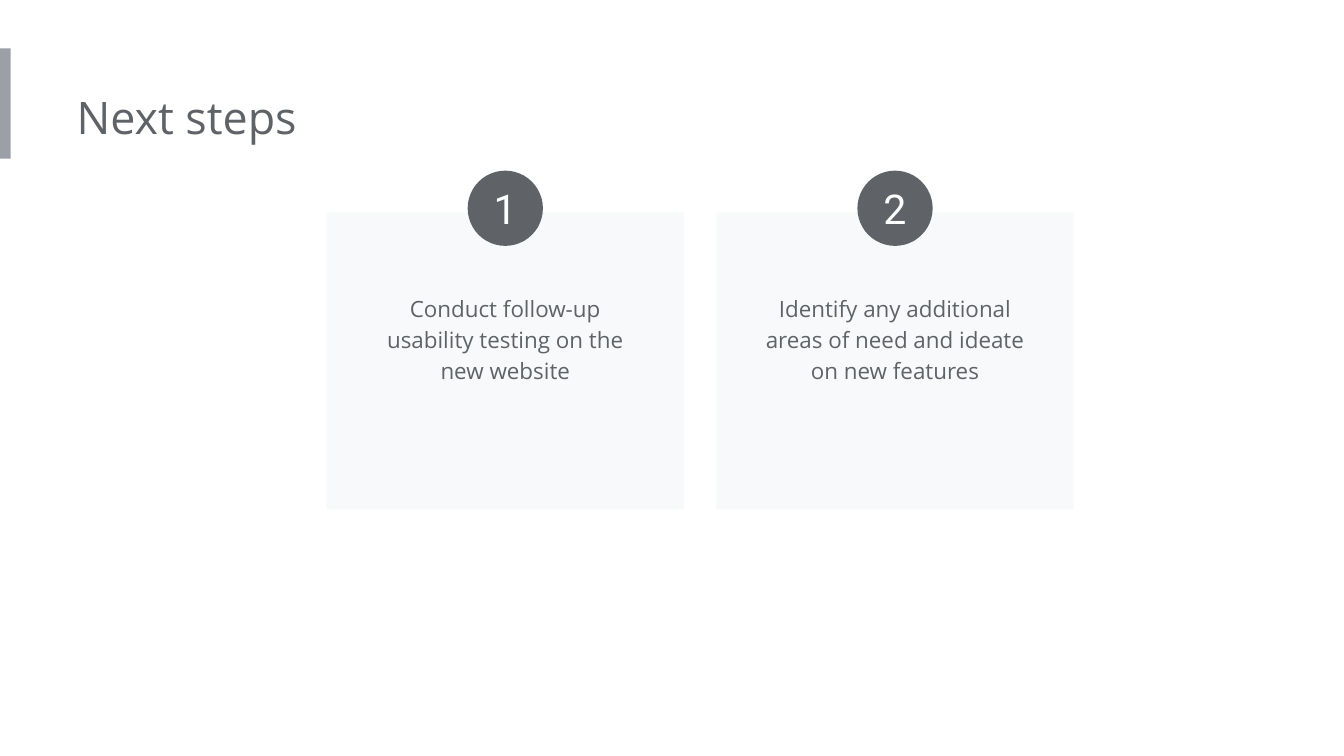
from pptx import Presentation
from pptx.dml.color import RGBColor
from pptx.enum.shapes import MSO_SHAPE
from pptx.enum.text import MSO_ANCHOR, PP_ALIGN
from pptx.util import Inches, Pt

COLORS = {
    "background": "FFFFFF",
    "accent": "9AA0A6",
    "dark": "5F6368",
    "card": "F8F9FA",
    "white": "FFFFFF",
}

STEPS = [
    "Conduct follow-up usability testing on the new website",
    "Identify any additional areas of need and ideate on new features",
]

SLIDE_W = 10
SLIDE_H = SLIDE_W * 9 / 16
CARD_LEFT, CARD_TOP = 2.43, 1.58
CARD_W, CARD_H = 2.66, 2.21
CARD_PITCH = 2.9
TEXT_W = 2.24
BADGE = 0.56


def rgb(name):
    return RGBColor.from_string(COLORS[name])


def add_filled(s, kind, x, y, w, h, color):
    sp = s.shapes.add_shape(kind, Inches(x), Inches(y), Inches(w), Inches(h))
    sp.shadow.inherit = False
    sp.fill.solid()
    sp.fill.fore_color.rgb = rgb(color)
    sp.line.fill.background()
    return sp


def write(sp, text, size, color, font="Open Sans", align=PP_ALIGN.LEFT,
          anchor=MSO_ANCHOR.TOP, spacing=None, left=0.1, inset=0.1):
    tf = sp.text_frame
    tf.word_wrap = True
    tf.vertical_anchor = anchor
    tf.margin_left = Inches(left)
    tf.margin_top = tf.margin_right = tf.margin_bottom = Inches(inset)
    p = tf.paragraphs[0]
    p.alignment = align
    if spacing:
        p.line_spacing = spacing
    r = p.add_run()
    r.text = text
    r.font.size = Pt(size)
    r.font.name = font
    r.font.color.rgb = rgb(color)


def add_text(s, x, y, w, h, text, size, **style):
    box = s.shapes.add_textbox(Inches(x), Inches(y), Inches(w), Inches(h))
    write(box, text, size, "dark", **style)


def add_step(s, number, text):
    x = CARD_LEFT + (number - 1) * CARD_PITCH
    center = x + CARD_W / 2

    # Card and its description
    add_filled(s, MSO_SHAPE.RECTANGLE, x, CARD_TOP, CARD_W, CARD_H, "card")
    add_text(s, center - TEXT_W / 2, 2.07, TEXT_W, 0.9, text, 12,
             align=PP_ALIGN.CENTER, spacing=1.15)

    # Number badge over the top edge
    badge = add_filled(s, MSO_SHAPE.OVAL, center - BADGE / 2, 1.27,
                       BADGE, BADGE, "dark")
    write(badge, str(number), 22, "white", font="Roboto",
          align=PP_ALIGN.CENTER, anchor=MSO_ANCHOR.MIDDLE, left=0, inset=0)


def main():
    prs = Presentation()
    prs.slide_width = Inches(SLIDE_W)
    prs.slide_height = Inches(SLIDE_H)
    s = prs.slides.add_slide(prs.slide_layouts[6])
    s.background.fill.solid()
    s.background.fill.fore_color.rgb = rgb("background")

    # Accent bar and title
    add_filled(s, MSO_SHAPE.RECTANGLE, 0, 0.36, 0.08, 0.82, "accent")
    add_text(s, 0.57, 0.57, 5.39, 0.61, "Next steps", 24, left=0)

    # Numbered step cards
    for number, text in enumerate(STEPS, start=1):
        add_step(s, number, text)

    prs.save("out.pptx")


if __name__ == "__main__":
    main()
